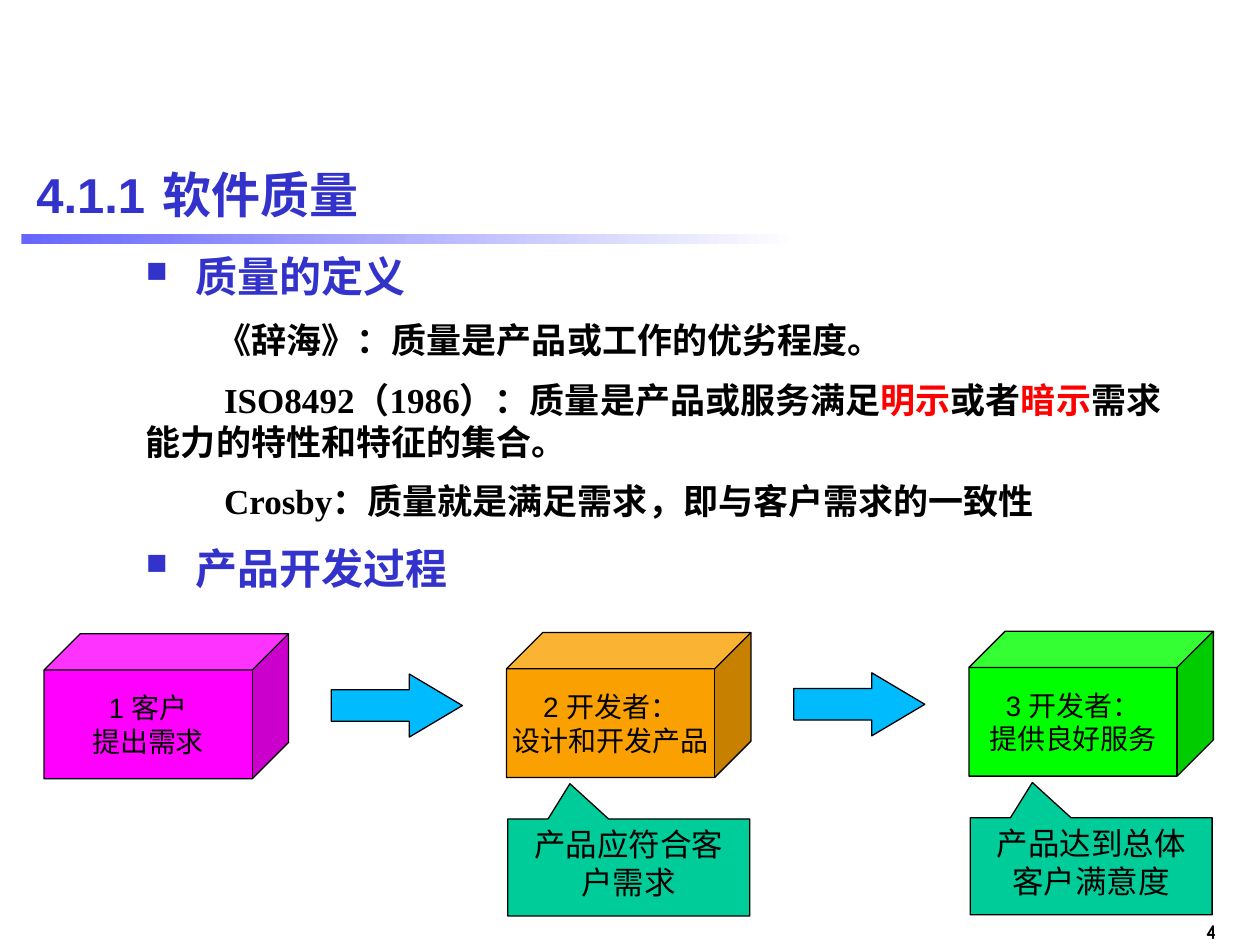
import pptx
import pptx.dml.color
import pptx.enum.shapes
import pptx.enum.text
import pptx.oxml.xmlchemy
import pptx.util
from lxml import etree
from pptx.oxml import ns

Inches = pptx.util.Inches
Pt = pptx.util.Pt
SHAPE = pptx.enum.shapes.MSO_SHAPE
ALIGN = pptx.enum.text.PP_ALIGN
ANCHOR = pptx.enum.text.MSO_ANCHOR

WIDTH, HEIGHT = 10, 7.5
BLUE, BLACK, RED = "3333CC", "000000", "FF0000"
SERIF, SANS = "Times New Roman", "Arial"
COLUMN_STEP = 3.67
STEPS = [
    ("FF00FF", "1 客户", "提出需求", SANS, None),
    ("FAA000", "2 开发者：", "设计和开发产品", SERIF, "产品应符合客户需求"),
    ("00FF00", "3 开发者：", "提供良好服务", SERIF, "产品达到总体客户满意度"),
]


def color(hex_string):
    return pptx.dml.color.RGBColor.from_string(hex_string)


def add_child(parent, tag, **attributes):
    return etree.SubElement(parent, ns.qn(tag), attributes)


def write(frame, runs, first=False, size=20, font=SERIF, bold=False, align=ALIGN.LEFT,
          before=0, margin=0, indent=0, bullet=None, tab=None):
    """Add a paragraph of (text, colour) runs; lengths are in inches."""
    paragraph = frame.paragraphs[0] if first else frame.add_paragraph()
    paragraph.alignment = align
    paragraph.space_before = Pt(before)
    properties = paragraph._p.get_or_add_pPr()
    properties.set("marL", str(Inches(margin)))
    properties.set("indent", str(Inches(indent)))
    if bullet:
        add_child(properties, "a:buSzPct", val="70000")
        add_child(properties, "a:buChar", char=bullet)
    else:
        add_child(properties, "a:buNone")
    if tab:
        stops = add_child(properties, "a:tabLst")
        add_child(stops, "a:tab", pos=str(Inches(tab)), algn="l")
    for text, run_color in runs:
        run = paragraph.add_run()
        run.text = text
        run.font.size = Pt(size)
        run.font.name = font
        run.font.bold = bold
        run.font.color.rgb = color(run_color)


def add_text_box(slide, box, wrap=True, anchor=ANCHOR.TOP):
    frame = slide.shapes.add_textbox(*map(Inches, box)).text_frame
    frame.word_wrap = wrap
    frame.vertical_anchor = anchor
    return frame


def add_block(slide, kind, box, fill, adjustments):
    """Add an outlined preset shape."""
    shape = slide.shapes.add_shape(kind, *map(Inches, box))
    shape.shadow.inherit = False
    shape.fill.solid()
    shape.fill.fore_color.rgb = color(fill)
    shape.line.color.rgb = color(BLACK)
    shape.line.width = Pt(0.75)
    for index, value in enumerate(adjustments):
        shape.adjustments[index] = value
    return shape


def add_heading(slide, left, top, width, height):
    bar = slide.shapes.add_shape(
        SHAPE.RECTANGLE, Inches(left - 0.02), Inches(top + 0.71), Inches(6.17), Inches(0.08))
    bar.shadow.inherit = False
    bar.line.fill.background()
    bar.fill.gradient()
    bar.fill.gradient_angle = 0
    for stop, shade in zip(bar.fill.gradient_stops, ("6666FF", "FFFFFF")):
        stop.color.rgb = color(shade)
    frame = add_text_box(slide, (left, top, width, height), anchor=ANCHOR.MIDDLE)
    write(frame, [("4.1.1\t软件质量", BLUE)], first=True, size=28, font=SANS, bold=True, tab=1.18)


def add_definitions(slide, *box):
    frame = add_text_box(slide, box)
    topic = dict(size=24, bold=True, bullet="■", margin=0.39, indent=-0.39)
    body = dict(bold=True, before=10)
    write(frame, [("质量的定义", BLUE)], first=True, **topic)
    write(frame, [("《辞海》：质量是产品或工作的优劣程度。", BLACK)], indent=0.56, **body)
    write(frame, [("ISO8492（1986）：质量是产品或服务满足", BLACK), ("明示", RED), ("或者", BLACK),
                  ("暗示", RED), ("需求能力的特性和特征的集合。", BLACK)], indent=0.62, **body)
    write(frame, [("Crosby：质量就是满足需求，即与客户需求的一致性", BLACK)], indent=0.62, **body)
    write(frame, [("产品开发过程", BLUE)], before=12, **topic)


def add_step(slide, left, top, fill, actor, task, task_font, note):
    """Add a cube and, where there is a note, the callout below it."""
    cube = add_block(slide, SHAPE.CUBE, (left, top, 1.94, 1.15), fill, [0.25])
    frame = cube.text_frame
    frame.word_wrap = False
    frame.vertical_anchor = ANCHOR.MIDDLE
    write(frame, [(actor, BLACK)], first=True, size=16, font=SANS, align=ALIGN.CENTER)
    write(frame, [(task, BLACK)], size=16, font=task_font, align=ALIGN.CENTER)
    if note:
        callout = add_block(slide, SHAPE.RECTANGULAR_CALLOUT, (left + 0.01, top + 1.48, 1.92, 0.77),
                            "00CC99", [-0.243, -0.863])
        callout.text_frame.word_wrap = True
        callout.text_frame.vertical_anchor = ANCHOR.TOP
        write(callout.text_frame, [(note, BLACK)], first=True, size=18, align=ALIGN.CENTER)


def add_process(slide, left, top):
    for index, step in enumerate(STEPS):
        step_left = left + index * COLUMN_STEP
        step_top = top - index * 0.01
        add_step(slide, step_left, step_top, *step)
        if index < len(STEPS) - 1:
            add_block(slide, SHAPE.RIGHT_ARROW, (step_left + 2.28, step_top + 0.32, 1.04, 0.5),
                      "00BCFF", [0.5, 0.841])


def add_slide_number(slide, *box):
    frame = add_text_box(slide, box, wrap=False)
    write(frame, [("4", BLACK)], first=True, size=12, font="Comic Neue", bold=True,
          align=ALIGN.RIGHT)


def main():
    presentation = pptx.Presentation()
    presentation.slide_width = Inches(WIDTH)
    presentation.slide_height = Inches(HEIGHT)
    slide = presentation.slides.add_slide(presentation.slide_layouts[6])
    add_slide_number(slide, 9.2, 7.24, 0.55, 0.3)
    add_heading(slide, 0.19, 1.15, 9.61, 0.78)
    add_definitions(slide, 1.06, 1.94, 8.35, 2.96)
    add_process(slide, 0.35, 5.03)
    presentation.save("out.pptx")


if __name__ == "__main__":
    main()
